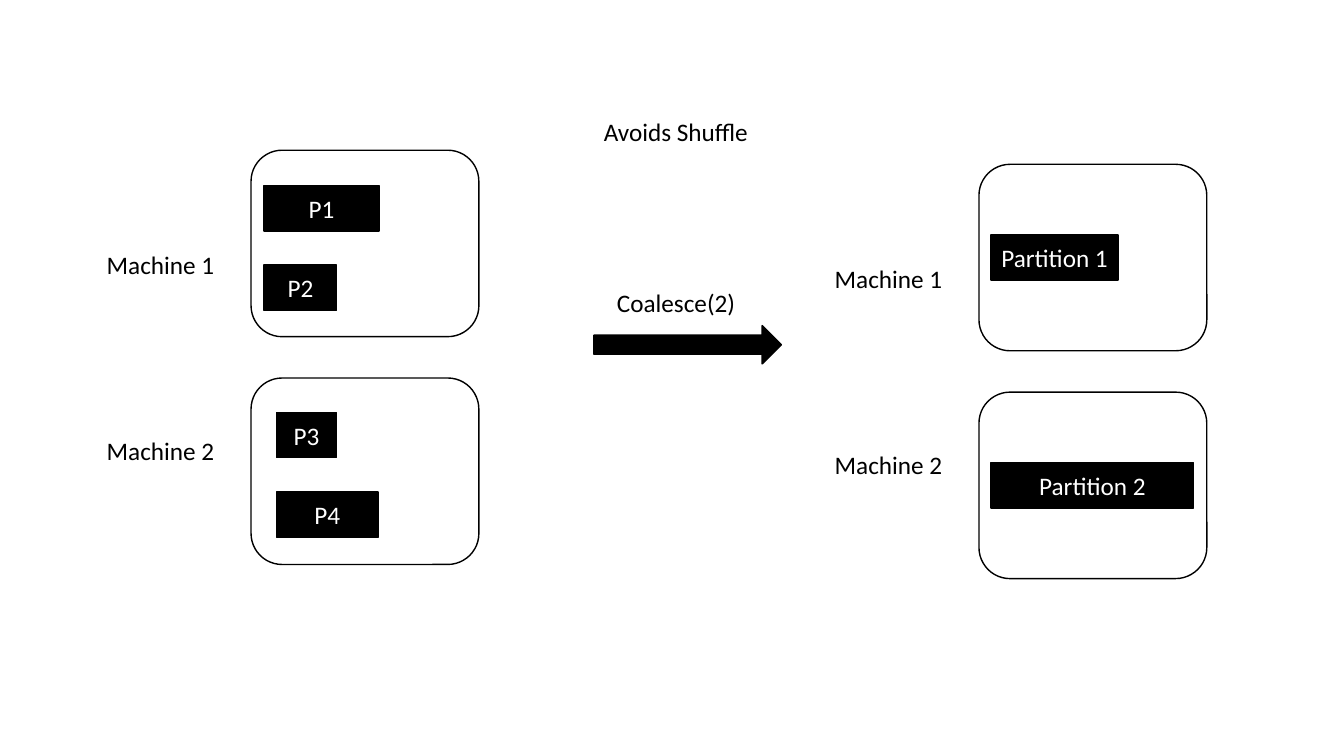
"""Build a slide showing how coalesce merges partitions without a shuffle."""
from dataclasses import dataclass

from lxml import etree
from pptx import Presentation
from pptx.dml.color import RGBColor
from pptx.enum import shapes, text
from pptx.util import Inches, Pt


@dataclass(frozen=True)
class Theme:
    """Colours, font and sizes of the slide."""
    ink: RGBColor = RGBColor(0, 0, 0)
    paper: RGBColor = RGBColor(255, 255, 255)
    font: str = "Calibri"
    size: Pt = Pt(18)
    line: Pt = Pt(1)


THEME = Theme()
SHAPE = shapes.MSO_SHAPE
BOX_W, BOX_H, BOX_PITCH = 2.26, 1.85, 2.26
BOX_DX, LABEL_DY, LABEL_PITCH = 1.53, 0.93, 1.85
BAR_H, BAR_PITCH = 0.45, 0.79
ARROW_X, ARROW_W = 5.89, 1.86


def set_all(obj, values):
    """Set each named attribute of an object."""
    for name, value in values.items():
        setattr(obj, name, value)


def write(sp, words, color, frame, align):
    """Put one formatted line of text in a shape."""
    tf = sp.text_frame
    set_all(tf, frame)
    p = tf.paragraphs[0]
    p.alignment = align
    r = p.add_run()
    r.text = words
    set_all(r.font, {"name": THEME.font, "size": THEME.size})
    r.font.color.rgb = color


def add_block(s, kind, x, y, w, h, fill):
    """Add an outlined preset shape without a shadow."""
    sp = s.shapes.add_shape(kind, *map(Inches, (x, y, w, h)))
    sp.shadow.inherit = False
    sp.fill.solid()
    sp.fill.fore_color.rgb = fill
    sp.line.color.rgb = THEME.ink
    sp.line.width = THEME.line
    return sp


def add_bar(s, words, x, y, w):
    """Add a partition bar with a centred name."""
    sp = add_block(s, SHAPE.RECTANGLE, x, y, w, BAR_H, THEME.ink)
    frame = {"word_wrap": False, "vertical_anchor": text.MSO_ANCHOR.MIDDLE}
    write(sp, words, THEME.paper, frame, text.PP_ALIGN.CENTER)


def add_label(s, words, x, y, w, wrap=False):
    """Add a left-aligned text label."""
    sp = s.shapes.add_textbox(*map(Inches, (x, y, w, 0.4)))
    frame = {"word_wrap": wrap, "auto_size": text.MSO_AUTO_SIZE.SHAPE_TO_FIT_TEXT}
    write(sp, words, THEME.ink, frame, text.PP_ALIGN.LEFT)


def add_cluster(s, x, y, machines):
    """Add stacked machines, each with an inset, a first bar offset and bars."""
    for i, (inset, bar_dy, bars) in enumerate(machines):
        box_x, box_y = x + BOX_DX, y + i * BOX_PITCH
        add_block(s, SHAPE.ROUNDED_RECTANGLE, box_x, box_y, BOX_W, BOX_H, THEME.paper)
        add_label(s, f"Machine {i + 1}", x, y + LABEL_DY + i * LABEL_PITCH, 1.28)
        for j, (name, width) in enumerate(bars):
            add_bar(s, name, box_x + inset, box_y + bar_dy + j * BAR_PITCH, width)


def main():
    """Build and save the slide."""
    prs = Presentation()
    set_all(prs, {"slide_width": Inches(13.33), "slide_height": Inches(7.5)})
    s = prs.slides.add_slide(prs.slide_layouts[6])
    centred = (BOX_H - BAR_H) / 2
    add_cluster(s, 0.96, 1.49, [
        (0.13, 0.35, [("P1", 1.14), ("P2", 0.72)]),
        (0.25, 0.34, [("P3", 0.6), ("P4", 1.01)]),
    ])
    add_label(s, "Avoids Shuffle", ARROW_X, 1.1, ARROW_W, wrap=True)
    add_label(s, "Coalesce(2)", 6.02, 2.8, 1.39)
    add_block(s, SHAPE.RIGHT_ARROW, ARROW_X, 3.23, ARROW_W, 0.38, THEME.ink)
    add_cluster(s, 8.18, 1.63, [
        (0.12, centred, [("Partition 1", 1.26)]),
        (0.12, centred, [("Partition 2", 2.01)]),
    ])
    prs.save("out.pptx")


if __name__ == "__main__":
    main()
